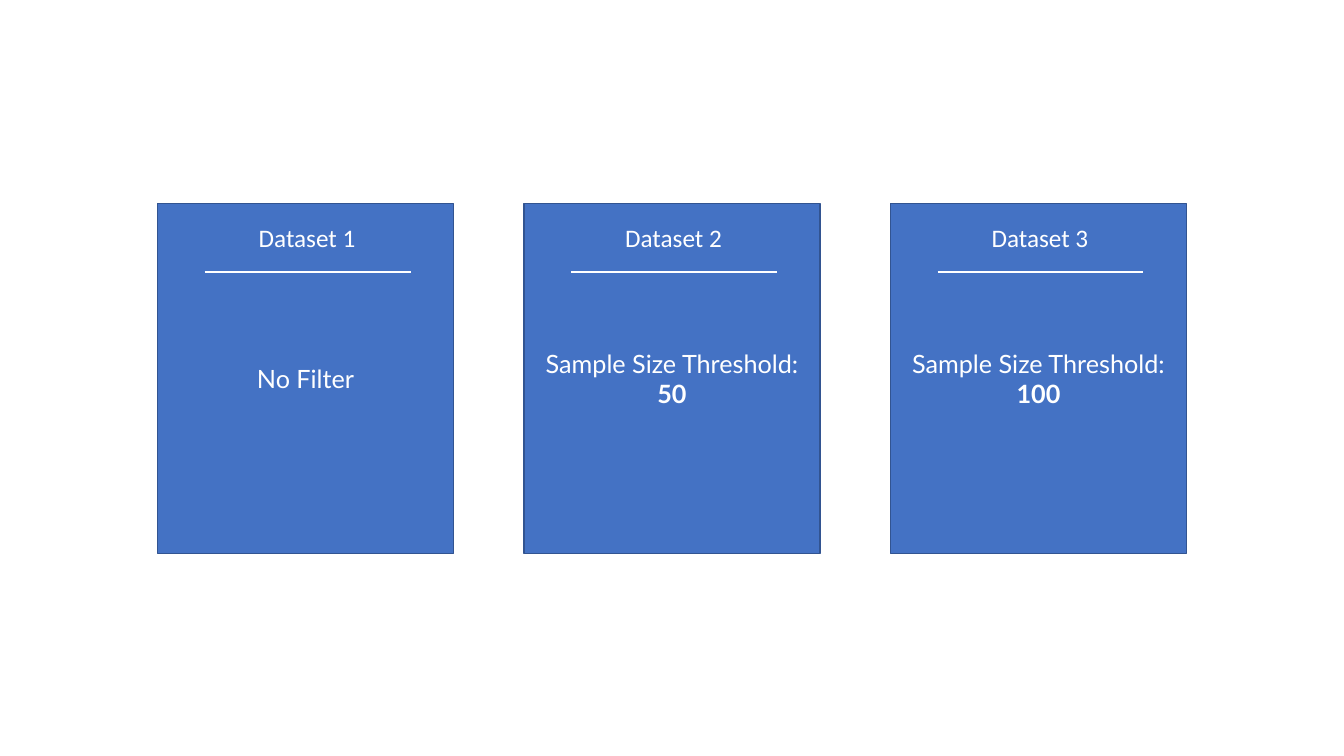
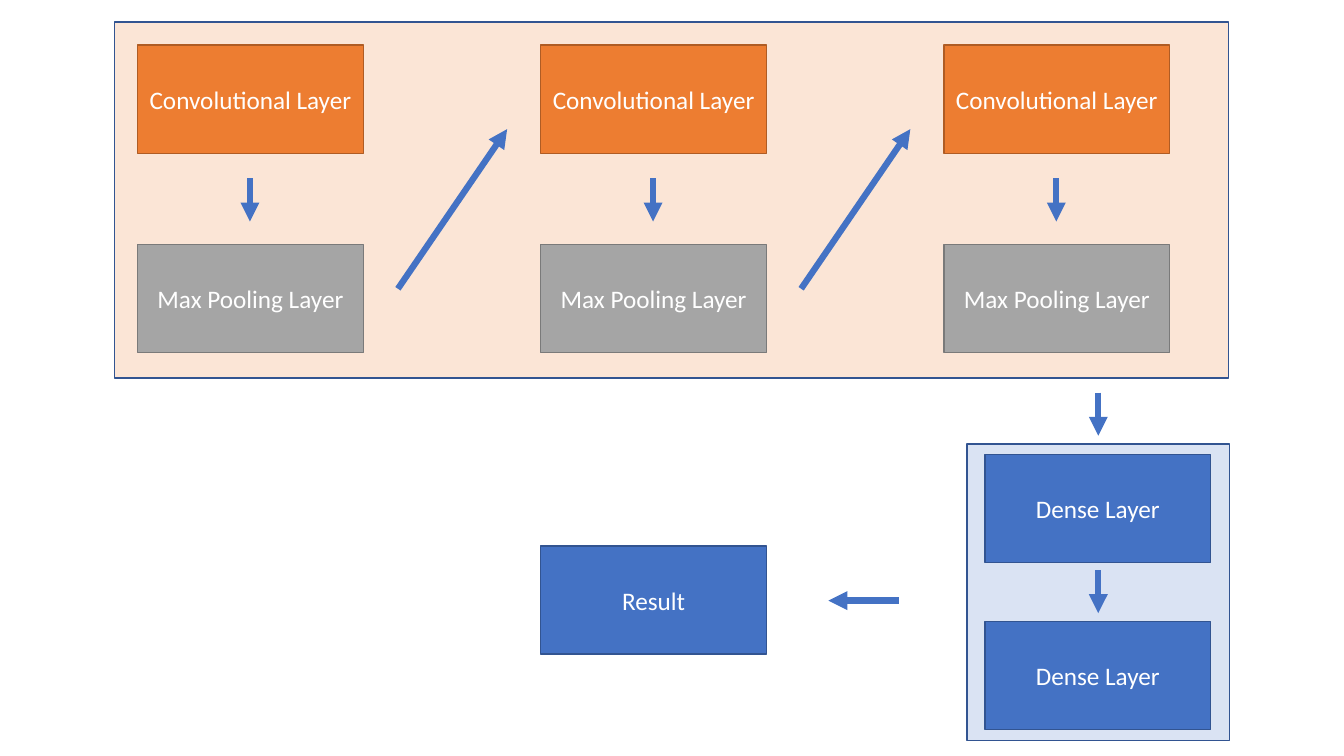
from lxml.etree import SubElement
from pptx import Presentation
from pptx.dml.color import RGBColor
from pptx.enum.shapes import MSO_CONNECTOR as Connector, MSO_SHAPE as Preset
from pptx.enum.text import MSO_ANCHOR as Anchor, PP_ALIGN as Align
from pptx.oxml.ns import qn
from pptx.util import Emu, Pt

SCALE = 9525
SLIDE_W, SLIDE_H = 1280, 720
BLANK_LAYOUT = 6
COLORS = {
    "white": "FFFFFF",
    "blue": "4472C4",
    "blue_edge": "325491",
    "blue_pale": "DAE3F3",
    "orange": "ED7D31",
    "orange_edge": "AF5C24",
    "orange_pale": "FBE5D6",
    "gray": "A5A5A5",
    "gray_edge": "7A7A7A",
}
TEXT_FORMAT = {"size": Pt(18), "bold": False}
FRAME_FORMAT = {"word_wrap": True, "vertical_anchor": Anchor.MIDDLE}
LABEL_FORMAT = {"word_wrap": True, "vertical_anchor": Anchor.TOP}

CARD_W, CARD_H, CARD_STEP = 282, 333, 349
LAYER_W, LAYER_H, LAYER_STEP = 215, 103, 384
ARROW_LENGTH = 41

DATASETS = [
    ("Dataset 1", ["No Filter"]),
    ("Dataset 2", ["Sample Size Threshold:", "50"]),
    ("Dataset 3", ["Sample Size Threshold:", "100"]),
]


def px(value):
    return Emu(int(value * SCALE))


def color(name):
    return RGBColor.from_string(COLORS[name])


def apply(target, values):
    for name, value in values.items():
        setattr(target, name, value)


def write(frame, lines, font_name, frame_format):
    apply(frame, frame_format)
    for index, line in enumerate(lines):
        paragraph = frame.add_paragraph() if index else frame.paragraphs[0]
        paragraph.alignment = Align.CENTER
        run = paragraph.add_run()
        run.text = line
        apply(run.font, {**TEXT_FORMAT, "name": font_name, "bold": index > 0})
        run.font.color.rgb = color("white")


def add_box(shapes, box, fill, edge, lines=(), font_name="Calibri"):
    panel = shapes.add_shape(Preset.RECTANGLE, *map(px, box))
    panel.shadow.inherit = False
    panel.fill.solid()
    panel.fill.fore_color.rgb = color(fill)
    panel.line.color.rgb = color(edge)
    panel.line.width = Pt(1)
    write(panel.text_frame, lines, font_name, FRAME_FORMAT)


def add_line(shapes, start, end, stroke, width):
    line = shapes.add_connector(Connector.STRAIGHT, *map(px, start + end))
    line.line.color.rgb = color(stroke)
    line.line.width = Pt(width)
    SubElement(line._element.spPr, qn("a:effectLst"))
    return line


def add_arrow(shapes, start, end):
    arrow = add_line(shapes, start, end, "blue", 4.5)
    SubElement(arrow.line._get_or_add_ln(), qn("a:tailEnd"), type="triangle")


def add_down_arrow(shapes, x, y):
    add_arrow(shapes, (x, y), (x, y + ARROW_LENGTH))


def add_layer(shapes, left, top, name, fill="blue", edge="blue_edge"):
    add_box(shapes, (left, top, LAYER_W, LAYER_H), fill, edge, [name])


def dataset_card(slide, left, top, heading, lines):
    shapes = slide.shapes.add_group_shape().shapes
    add_box(shapes, (left, top, CARD_W, CARD_H), "blue", "blue_edge", lines, "Lato")
    add_line(shapes, (left + 45, top + 65), (left + 241, top + 65), "white", 2)
    label = shapes.add_textbox(*map(px, (left + 53, top + 13, 179, 38)))
    write(label.text_frame, [heading], "Calibri", LABEL_FORMAT)


def convolution_block(slide, left, top, width, height, columns=3):
    shapes = slide.shapes.add_group_shape().shapes
    add_box(shapes, (left, top, width, height), "orange_pale", "blue_edge")
    for column in range(columns):
        offset = left + column * LAYER_STEP
        layer_left = offset + 22
        add_layer(shapes, layer_left, top + 22, "Convolutional Layer", "orange", "orange_edge")
        add_layer(shapes, layer_left, top + 212, "Max Pooling Layer", "gray", "gray_edge")
        add_down_arrow(shapes, layer_left + LAYER_W // 2, top + 149)
        if column < columns - 1:
            add_arrow(shapes, (offset + 270, top + 254), (offset + 374, top + 102))


def dense_block(slide, left, top, width, height):
    shapes = slide.shapes.add_group_shape().shapes
    add_box(shapes, (left, top, width, height), "blue_pale", "blue_edge")
    for layer_top in (top + 10, top + 169):
        add_layer(shapes, left + 17, layer_top, "Dense Layer")
    add_down_arrow(shapes, left + width // 2, top + 120)


def dataset_slide(slide):
    for index, (heading, lines) in enumerate(DATASETS):
        dataset_card(slide, 150 + index * CARD_STEP, 194, heading, lines)


def network_slide(slide):
    add_layer(slide.shapes, 515, 520, "Result")
    convolution_block(slide, 109, 21, 1061, 339)
    add_down_arrow(slide.shapes, 1046, 374)
    dense_block(slide, 921, 423, 250, 282)
    add_arrow(slide.shapes, (856, 572), (789, 572))


def main():
    deck = Presentation()
    apply(deck, {"slide_width": px(SLIDE_W), "slide_height": px(SLIDE_H)})
    for build in (dataset_slide, network_slide):
        build(deck.slides.add_slide(deck.slide_layouts[BLANK_LAYOUT]))
    deck.save("out.pptx")


if __name__ == "__main__":
    main()
